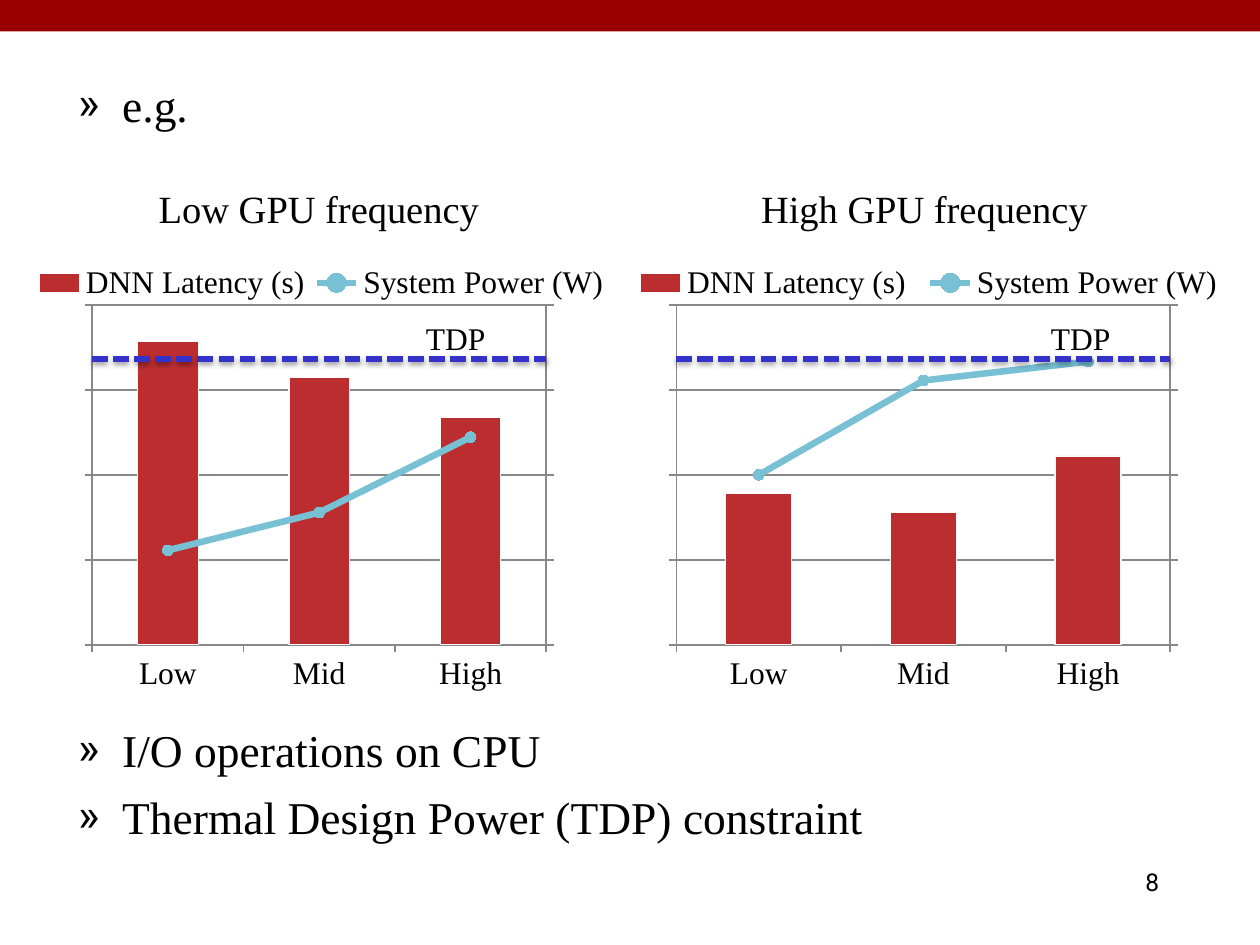
from copy import deepcopy
from lxml import etree
from pptx import Presentation, util as u
from pptx.chart import data
from pptx.dml import color
from pptx.enum import chart as kinds, dml, shapes, text
from pptx.oxml import ns, parse_xml

COLUMNS, ROWS = 100, 75
COLORS = {"band": "990000", "ink": "000000", "latency": "BC2D30", "edge": "F9F9F9",
          "power": "78C1D4", "grid": "888888", "limit": "3333CC"}
SERIF, SANS = "Times New Roman", "Roboto"
PLOT_TOP, PLOT_HEIGHT = 0.109, 0.751

deck = Presentation()
deck.slide_width, deck.slide_height = u.Inches(10), u.Inches(7.5)
page = deck.slides.add_slide(deck.slide_layouts[6])


def place(left, top, width, height):
    column, row = deck.slide_width / COLUMNS, deck.slide_height / ROWS
    return [int(v) for v in (left * column, top * row, width * column, height * row)]


def rgb(name):
    return color.RGBColor.from_string(COLORS[name])


def apply(target, values):
    for name, value in values.items():
        setattr(target, name, value)


def style_font(font, size, face=SERIF):
    apply(font, {"size": u.Pt(size), "name": face})
    font.color.rgb = rgb("ink")


def style_line(line, name, width):
    line.color.rgb = rgb(name)
    line.width = u.Pt(width)


def child(parent, tag, **values):
    node = etree.SubElement(parent, ns.qn(tag))
    for name, value in values.items():
        node.set(name, str(value))
    return node


def add_text(box, lines, size, face=SERIF, align=text.PP_ALIGN.LEFT, bullet=None):
    frame = page.shapes.add_textbox(*place(*box)).text_frame
    apply(frame, {"word_wrap": False, "auto_size": text.MSO_AUTO_SIZE.SHAPE_TO_FIT_TEXT})
    apply(frame, dict.fromkeys(("margin_left", "margin_top", "margin_right", "margin_bottom"),
                               u.Inches(0.05)))
    for index, words in enumerate(lines):
        para = frame.add_paragraph() if index else frame.paragraphs[0]
        para.alignment = align
        span = para.add_run()
        span.text = words
        style_font(span.font, size, face)
        if bullet:
            apply(para, {"level": 1, "space_before": u.Pt(7)})
            settings = para._p.get_or_add_pPr()
            settings.set("marL", str(u.Inches(0.85)))
            settings.set("indent", str(u.Inches(-0.35)))
            child(settings, "a:buFont", typeface=SANS)
            child(settings, "a:buChar", char=bullet)


def set_layout(parent, position, shares, inner=False):
    for old in parent.findall(ns.qn("c:layout")):
        parent.remove(old)
    layout = etree.Element(ns.qn("c:layout"))
    manual = child(layout, "c:manualLayout")
    if inner:
        child(manual, "c:layoutTarget", val="inner")
    for tag in ("xMode", "yMode"):
        child(manual, "c:" + tag, val="edge")
    for tag, share in zip("xywh", shares):
        child(manual, "c:" + tag, val=share)
    parent.insert(position, layout)


def move_to_second_axis(chart, top):
    area = chart._chartSpace.chart.plotArea
    bars = area.find(ns.qn("c:barChart"))
    series = bars.findall(ns.qn("c:ser"))[1]
    for extra in series.findall(ns.qn("c:invertIfNegative")):
        series.remove(extra)
    lines = parse_xml(f'<c:lineChart {ns.nsdecls("c")}><c:grouping val="standard"/>'
                      '<c:varyColors val="0"/><c:marker val="1"/>'
                      '<c:axId val="501"/><c:axId val="502"/></c:lineChart>')
    lines.insert(2, series)
    bars.addnext(lines)
    changes = {"c:catAx": {"axId": 501, "crossAx": 502, "delete": 1},
               "c:valAx": {"axId": 502, "crossAx": 501, "axPos": "r", "crosses": "max",
                           "majorUnit": top / 4}}
    for tag, values in changes.items():
        axis = deepcopy(area.find(ns.qn(tag)))
        for name, value in values.items():
            axis.find(ns.qn("c:" + name)).set("val", str(value))
        for maximum in axis.iter(ns.qn("c:max")):
            maximum.set("val", str(top))
        area.findall(ns.qn("c:valAx"))[-1].addnext(axis)


def add_combined_chart(box, plot, legend, latency, power, top):
    values = data.CategoryChartData()
    values.categories = ["Low", "Mid", "High"]
    values.add_series("DNN Latency (s)", latency)
    values.add_series("System Power (W)", power)
    chart = page.shapes.add_chart(kinds.XL_CHART_TYPE.COLUMN_CLUSTERED, *place(*box), values).chart
    style_font(chart.font, 18)
    apply(chart, {"has_title": False, "has_legend": True})
    apply(chart.legend, {"position": kinds.XL_LEGEND_POSITION.TOP, "include_in_layout": False})
    style_font(chart.legend.font, 18)
    set_layout(chart.legend._element, 1, legend)
    set_layout(chart._chartSpace.chart.plotArea, 0, plot, True)
    apply(chart.value_axis, {"minimum_scale": 0, "maximum_scale": top, "major_unit": top / 4,
                             "has_major_gridlines": True,
                             "tick_label_position": kinds.XL_TICK_LABEL_POSITION.NONE})
    style_line(chart.value_axis.major_gridlines.format.line, "grid", 1)
    for axis in (chart.category_axis, chart.value_axis):
        axis.major_tick_mark = kinds.XL_TICK_MARK.OUTSIDE
        style_line(axis.format.line, "grid", 1)
    move_to_second_axis(chart, 18)
    bars, lines = chart.plots
    apply(bars, {"gap_width": 150, "vary_by_categories": False})
    bar, curve = bars.series[0], lines.series[0]
    bar.format.fill.solid()
    bar.format.fill.fore_color.rgb = rgb("latency")
    style_line(bar.format.line, "edge", 0.75)
    curve.smooth = False
    style_line(curve.format.line, "power", 3.75)
    apply(curve.marker, {"style": kinds.XL_MARKER_STYLE.CIRCLE, "size": 6})
    curve.marker.format.fill.solid()
    curve.marker.format.fill.fore_color.rgb = rgb("power")
    style_line(curve.marker.format.line, "power", 0.75)


def add_limit(left, right, row):
    start_x, start_y, end_x, end_y = place(left, row, right, row)
    limit = page.shapes.add_connector(shapes.MSO_CONNECTOR.STRAIGHT, start_x, start_y, end_x, end_y)
    style_line(limit.line, "limit", 3)
    limit.line.dash_style = dml.MSO_LINE.SQUARE_DOT
    effects = child(limit._element.spPr, "a:effectLst")
    shadow = child(effects, "a:outerShdw", blurRad=u.Pt(3), dist=u.Pt(1.6), dir=5400000,
                   rotWithShape=0)
    child(child(shadow, "a:srgbClr", val=COLORS["ink"]), "a:alpha", val=38000)


def add_panel(box, title, title_box, label_left, plot_x, plot_width, legend, latency, power, top):
    left, row, width, height = box
    title_left, title_width = title_box
    chart_row = row + 6.1
    plot_left = left + plot_x * width
    add_combined_chart((left, chart_row, width, height - 6.1),
                       (plot_x, PLOT_TOP, plot_width, PLOT_HEIGHT), legend, latency, power, top)
    add_text((left + title_left, row, title_width, 4.9), [title], 22)
    add_text((left + label_left, row + 10.6, 6.5, 4.2), ["TDP"], 18)
    add_limit(plot_left, plot_left + plot_width * width, row + 14.3)


def add_frame():
    band = page.shapes.add_shape(shapes.MSO_SHAPE.RECTANGLE, *place(0, 0, COLUMNS, 2.5))
    band.shadow.inherit = False
    band.fill.solid()
    band.fill.fore_color.rgb = rgb("band")
    band.line.fill.background()
    add_text((90.4, 68.3, 2.1, 3.5), ["8"], 14, SANS, text.PP_ALIGN.RIGHT)


add_frame()
add_panel((0.7, 14.2, 49.1, 42), "Low GPU frequency", (11.4, 26.6), 32.6, 0.135, 0.734,
          (0.03, 0.01, 0.95, 0.1), (100, 88, 75), (5, 7, 11), 112)
add_panel((47.1, 14.2, 52.7, 42), "High GPU frequency", (12.8, 27.1), 35.8, 0.125, 0.744,
          (0.05, 0.01, 0.91, 0.1), (80, 70, 100), (9, 14, 15), 180)
add_text((0.7, 5.6, 14.9, 5.4), ["e.g."], 26, bullet="»")
add_text((0.7, 56.8, 68.4, 11), ["I/O operations on CPU", "Thermal Design Power (TDP) constraint"],
         26, bullet="»")
deck.save("out.pptx")
